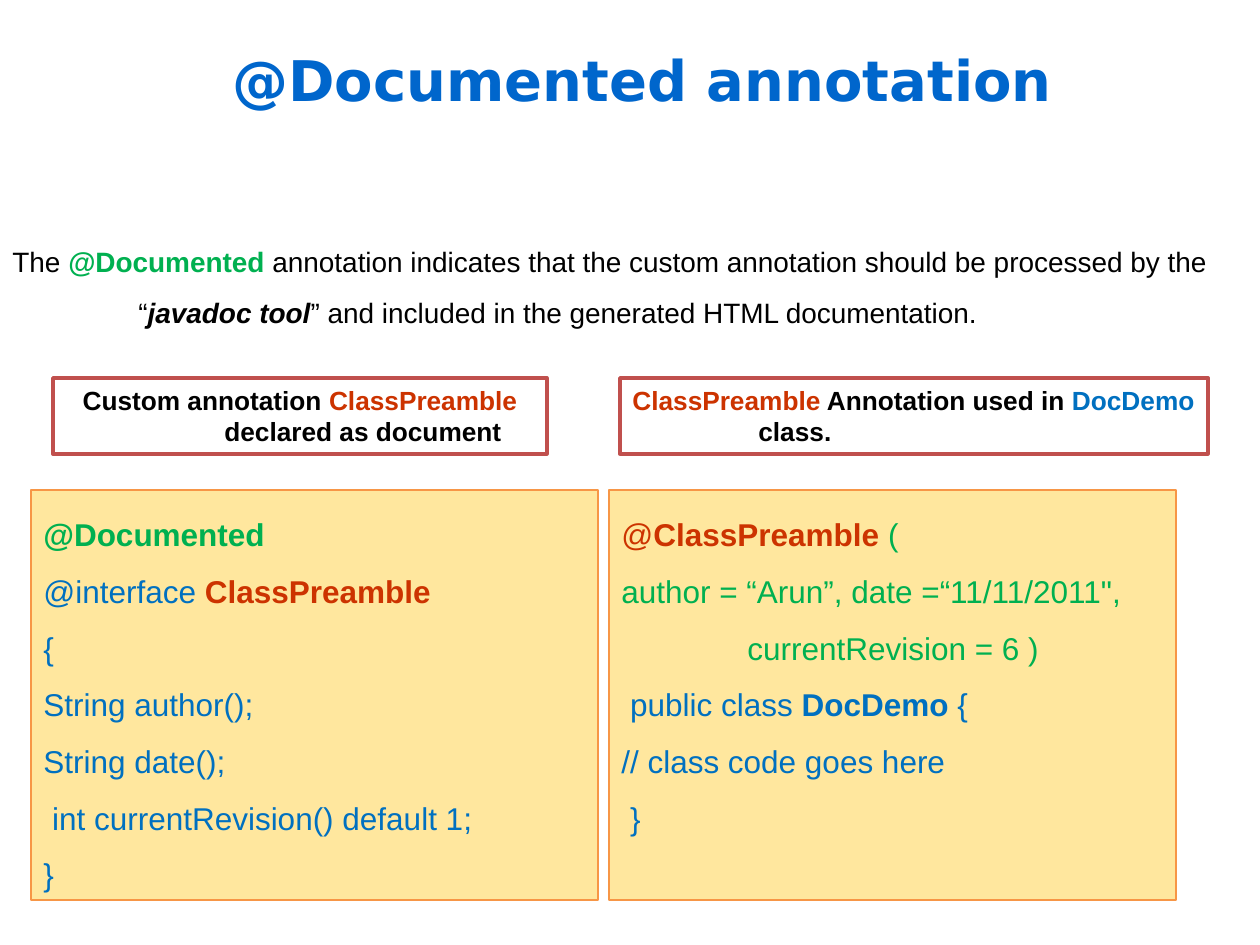
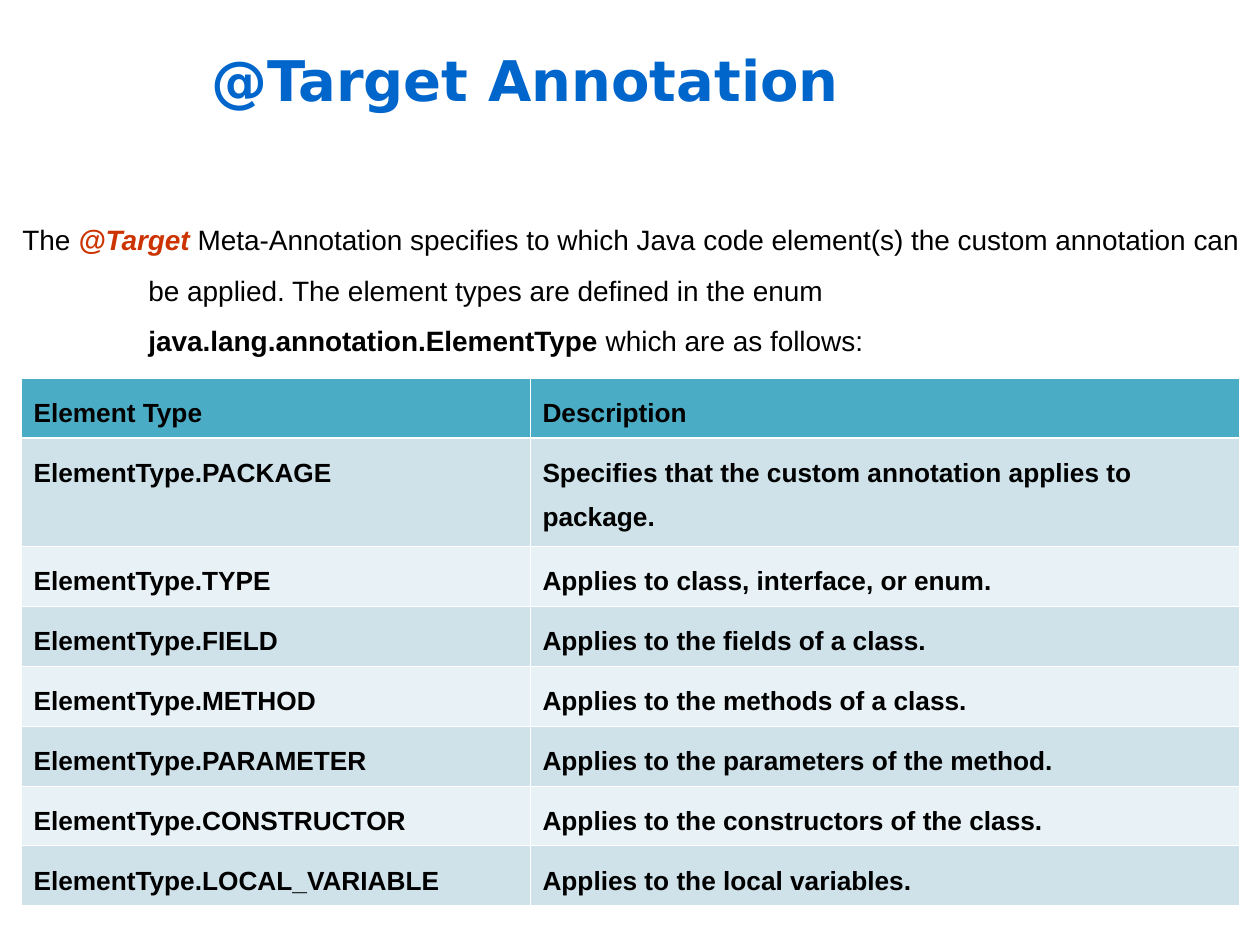
import pptx
import pptx.dml.color
import pptx.enum.shapes
import pptx.enum.text
import pptx.oxml
import pptx.oxml.ns
import pptx.util
from lxml import etree

RGBColor = pptx.dml.color.RGBColor
TITLE_BLUE = RGBColor(0x00, 0x66, 0xCC)
BLACK = RGBColor(0x00, 0x00, 0x00)
WHITE = RGBColor(0xFF, 0xFF, 0xFF)
GREEN = RGBColor(0x00, 0xB0, 0x50)
BLUE = RGBColor(0x00, 0x70, 0xC0)
RED = RGBColor(0xCC, 0x33, 0x00)
AMBER = RGBColor(0xFF, 0xC0, 0x00)
ORANGE = RGBColor(0xF7, 0x96, 0x46)
LABEL_BORDER = RGBColor(0xC0, 0x50, 0x4D)
HEADER_TEAL = RGBColor(0x4B, 0xAC, 0xC6)
BAND_DARK = RGBColor(0xCF, 0xE2, 0xEA)
BAND_LIGHT = RGBColor(0xE8, 0xF1, 0xF5)

BODY_FONT = "Arial"
TITLE_FONT = "DejaVu Sans"
PX_PER_INCH = 126
HANGING_INDENT = 126

# Each run is (text, colour, style); style holds "b" for bold and "i" for italic.
DOCUMENTED_INTRO = [
    ("The ", BLACK, ""),
    ("@Documented", GREEN, "b"),
    (" annotation indicates that the custom annotation should be processed by the “", BLACK, ""),
    ("javadoc tool", BLACK, "bi"),
    ("” and included in the generated HTML documentation.", BLACK, ""),
]
DECLARATION_LABEL = [
    ("Custom annotation ", BLACK, "b"),
    ("ClassPreamble ", RED, "b"),
    ("declared as document", BLACK, "b"),
]
USAGE_LABEL = [
    ("ClassPreamble", RED, "b"),
    (" Annotation used in ", BLACK, "b"),
    ("DocDemo", BLUE, "b"),
    (" class.", BLACK, "b"),
]
DECLARATION_CODE = [
    [("@Documented", GREEN, "b")],
    [("@interface ", BLUE, ""), ("ClassPreamble", RED, "b")],
    [("{", BLUE, "")],
    [("String author();", BLUE, "")],
    [("String date();", BLUE, "")],
    [(" int currentRevision() default 1;", BLUE, "")],
    [("}", BLUE, "")],
]
USAGE_CODE = [
    [("@", RED, ""), ("ClassPreamble ", RED, "b"), ("(", GREEN, "")],
    [("author = “Arun”, date =“11/11/2011\", currentRevision = 6 )", GREEN, "")],
    [(" public class ", BLUE, ""), ("DocDemo", BLUE, "b"), (" {", BLUE, "")],
    [("// class code goes here", BLUE, "")],
    [(" }", BLUE, "")],
]
TARGET_INTRO = [
    ("The ", BLACK, ""),
    ("@Target ", RED, "bi"),
    ("Meta-Annotation specifies to which Java code element(s) the custom annotation "
     "can be applied. The element types are defined in the enum ", BLACK, ""),
    ("java.lang.annotation.ElementType", BLACK, "b"),
    (" which are as follows:", BLACK, ""),
]
ELEMENT_TYPES = [
    ("Element Type", "Description"),
    ("ElementType.PACKAGE", "Specifies that the custom annotation applies to package."),
    ("ElementType.TYPE", "Applies to class, interface, or enum."),
    ("ElementType.FIELD", "Applies to the fields of a class."),
    ("ElementType.METHOD", "Applies to the methods of a class."),
    ("ElementType.PARAMETER", "Applies to the parameters of the method."),
    ("ElementType.CONSTRUCTOR", "Applies to the constructors of the class."),
    ("ElementType.LOCAL_VARIABLE", "Applies to the local variables."),
]


def px(length):
    return pptx.util.Emu(round(length * 914400 / PX_PER_INCH))


def px_box(*lengths):
    return [px(length) for length in lengths]


def format_run(run, size, colour, style="", font_name=BODY_FONT):
    run.font.name = font_name
    run.font.size = pptx.util.Pt(size)
    run.font.color.rgb = colour
    run.font.bold = "b" in style
    run.font.italic = "i" in style


def write_paragraphs(text_frame, paragraphs, size, line_spacing=1.0, alignment=pptx.enum.text.PP_ALIGN.LEFT):
    """Fill the frame with hanging paragraphs, each a list of runs."""
    text_frame.word_wrap = True
    text_frame.vertical_anchor = pptx.enum.text.MSO_ANCHOR.TOP
    for index, runs in enumerate(paragraphs):
        paragraph = text_frame.add_paragraph() if index else text_frame.paragraphs[0]
        paragraph.alignment = alignment
        paragraph.line_spacing = line_spacing
        properties = paragraph._p.get_or_add_pPr()
        properties.set("marL", str(px(HANGING_INDENT)))
        properties.set("indent", str(-px(HANGING_INDENT)))
        for text, colour, style in runs:
            run = paragraph.add_run()
            run.text = text
            format_run(run, size, colour, style)


def add_title(slide, text, left):
    title = slide.shapes.add_textbox(*px_box(left, 0, 1040, 158))
    text_frame = title.text_frame
    text_frame.word_wrap = True
    text_frame.vertical_anchor = pptx.enum.text.MSO_ANCHOR.MIDDLE
    text_frame.text = text
    format_run(text_frame.paragraphs[0].runs[0], 32, TITLE_BLUE, "b", TITLE_FONT)


def add_intro(slide, runs, left, top, width, height):
    intro = slide.shapes.add_textbox(*px_box(left, top, width, height))
    write_paragraphs(intro.text_frame, [runs], 16, 1.5)


def add_panel(slide, box, fill, border, border_width):
    panel = slide.shapes.add_shape(pptx.enum.shapes.MSO_SHAPE.RECTANGLE, *px_box(*box))
    panel.shadow.inherit = False
    panel.fill.solid()
    panel.fill.fore_color.rgb = fill
    panel.line.color.rgb = border
    panel.line.width = pptx.util.Pt(border_width)
    return panel


def add_code_panel(slide, left, code_lines):
    panel = add_panel(slide, (left, 490, 567, 410), AMBER, ORANGE, 0.75)
    fill_colour = panel._element.spPr.find(".//" + pptx.oxml.ns.qn("a:srgbClr"))
    etree.SubElement(fill_colour, pptx.oxml.ns.qn("a:alpha"), val="38000")
    write_paragraphs(panel.text_frame, code_lines, 18, 1.5)


def add_label(slide, left, width, runs, alignment):
    label = add_panel(slide, (left, 378, width, 76), WHITE, LABEL_BORDER, 2)
    write_paragraphs(label.text_frame, [runs], 15, alignment=alignment)


def set_cell_borders(cell, widths):
    """Draw white borders; widths maps the sides L, R, T, B, in that order, to points."""
    properties = cell._tc.get_or_add_tcPr()
    for side, width in widths.items():
        properties.append(pptx.oxml.parse_xml(
            f'<a:ln{side} {pptx.oxml.ns.nsdecls("a")} w="{pptx.util.Pt(width)}">'
            f'<a:solidFill><a:srgbClr val="{WHITE}"/></a:solidFill></a:ln{side}>'))


def format_cell(cell, text, row_index):
    set_cell_borders(cell, {"L": 0.45, "R": 0.45,
                            "T": 1.47 if row_index == 1 else 0.45,
                            "B": 1.47 if row_index == 0 else 0.45})
    cell.fill.solid()
    if row_index == 0:
        cell.fill.fore_color.rgb = HEADER_TEAL
    else:
        cell.fill.fore_color.rgb = BAND_DARK if row_index % 2 else BAND_LIGHT
    cell.text_frame.text = text
    paragraph = cell.text_frame.paragraphs[0]
    paragraph.line_spacing = 1.5
    paragraph.space_before = pptx.util.Pt(6)
    format_run(paragraph.runs[0], 15, BLACK, "b")


def add_element_type_table(slide):
    column_widths = [509, 709]
    row_heights = [60, 108] + [60] * (len(ELEMENT_TYPES) - 2)
    frame = slide.shapes.add_table(
        len(row_heights), len(column_widths),
        *px_box(21, 378, sum(column_widths), sum(row_heights)))
    table = frame.table
    for column, width in zip(table.columns, column_widths):
        column.width = px(width)
    for row_index, texts in enumerate(ELEMENT_TYPES):
        table.rows[row_index].height = px(row_heights[row_index])
        for column_index, text in enumerate(texts):
            format_cell(table.cell(row_index, column_index), text, row_index)


def build_documented_slide(slide):
    add_title(slide, "@Documented annotation", 220)
    add_intro(slide, DOCUMENTED_INTRO, 0, 222, 1250, 113)
    add_code_panel(slide, 31, DECLARATION_CODE)
    add_code_panel(slide, 609, USAGE_CODE)
    add_label(slide, 53, 494, DECLARATION_LABEL, pptx.enum.text.PP_ALIGN.CENTER)
    add_label(slide, 620, 588, USAGE_LABEL, pptx.enum.text.PP_ALIGN.LEFT)


def build_target_slide(slide):
    add_title(slide, "@Target Annotation", 199)
    add_intro(slide, TARGET_INTRO, 10, 200, 1260, 214)
    add_element_type_table(slide)


def main():
    presentation = pptx.Presentation()
    presentation.slide_width = px(1260)
    presentation.slide_height = px(945)
    blank_layout = presentation.slide_layouts[6]
    for build_slide in (build_documented_slide, build_target_slide):
        build_slide(presentation.slides.add_slide(blank_layout))
    presentation.save("out.pptx")


if __name__ == "__main__":
    main()
